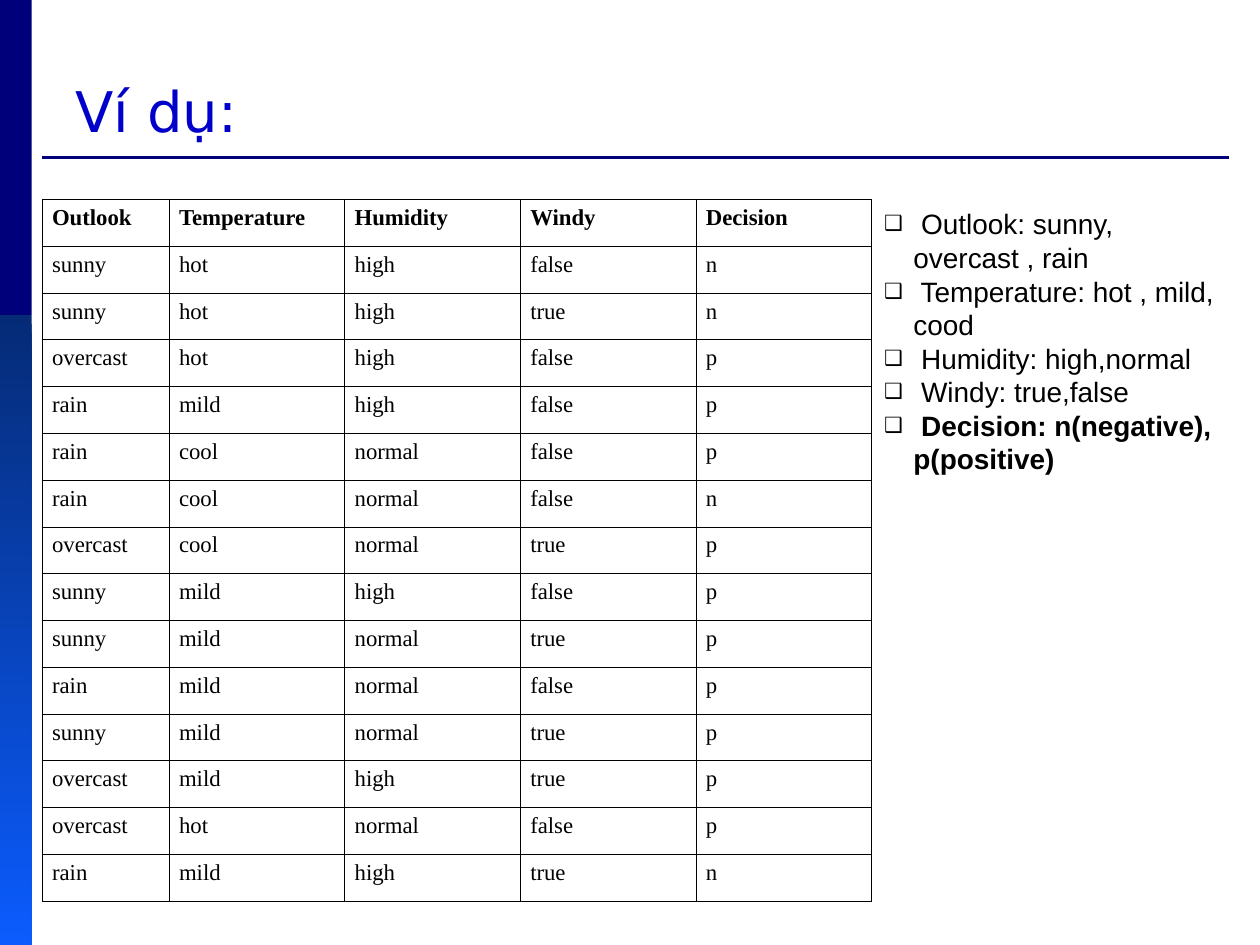
from lxml.etree import SubElement
from pptx import Presentation
from pptx.dml.color import RGBColor
from pptx.enum.shapes import MSO_CONNECTOR, MSO_SHAPE
from pptx.enum.text import MSO_ANCHOR, MSO_AUTO_SIZE, PP_ALIGN
from pptx.oxml.ns import qn
from pptx.util import Cm, Pt

HEADERS = ["Outlook", "Temperature", "Humidity", "Windy", "Decision"]
WEATHER = """\
sunny hot high false n
sunny hot high true n
overcast hot high false p
rain mild high false p
rain cool normal false p
rain cool normal false n
overcast cool normal true p
sunny mild high false p
sunny mild normal true p
rain mild normal false p
sunny mild normal true p
overcast mild high true p
overcast hot normal false p
rain mild high true n"""
ATTRIBUTES = [
    " Outlook: sunny, overcast , rain",
    " Temperature: hot , mild, cood",
    " Humidity: high,normal",
    " Windy: true,false",
    " Decision: n(negative), p(positive)",
]


def color(hex_string):
    return RGBColor.from_string(hex_string)


def write(paragraph, text, font, size, fill="000000", bold=False):
    paragraph.text = text
    paragraph.alignment = PP_ALIGN.LEFT
    paragraph.space_before = paragraph.space_after = Pt(0)
    paragraph.font.name = font
    paragraph.font.size = Pt(size)
    paragraph.font.bold = bold
    paragraph.font.color.rgb = color(fill)


def add_bullet(paragraph, character, indent, percent):
    properties = paragraph._p.get_or_add_pPr()
    properties.set("marL", str(indent))
    properties.set("indent", str(-indent))
    bullet_color = SubElement(properties, qn("a:buClr"))
    SubElement(bullet_color, qn("a:srgbClr"), val="000000")
    SubElement(properties, qn("a:buSzPct"), val=str(percent * 1000))
    SubElement(properties, qn("a:buFont"), typeface="Arial")
    SubElement(properties, qn("a:buChar"), char=character)


def add_borders(cell, width):
    properties = cell._tc.get_or_add_tcPr()
    for side in ("lnL", "lnR", "lnT", "lnB"):
        line = SubElement(properties, qn(f"a:{side}"), w=str(Pt(width)))
        fill = SubElement(line, qn("a:solidFill"))
        SubElement(fill, qn("a:srgbClr"), val="000000")


class SlideBuilder:
    navy = "00007A"
    title_color = "0000CA"
    title_font = "DejaVu Sans"
    body_font = "Arial"
    table_font = "Times New Roman"

    def __init__(self, slide):
        self.slide = slide

    def place(self, shape, left, top, width, height):
        shape.left, shape.top = Cm(left), Cm(top)
        shape.width, shape.height = Cm(width), Cm(height)

    def bar(self, left, top, width, height, *colors):
        """Draw a solid bar for one colour, a downward gradient for two."""
        shape = self.slide.shapes.add_shape(
            MSO_SHAPE.RECTANGLE, Cm(left), Cm(top), Cm(width), Cm(height))
        shape.shadow.inherit = False
        shape.line.fill.background()
        if len(colors) == 1:
            shape.fill.solid()
            shape.fill.fore_color.rgb = color(colors[0])
        else:
            shape.fill.gradient()
            shape.fill.gradient_angle = 270
            for stop, stop_color in zip(shape.fill.gradient_stops, colors):
                stop.color.rgb = color(stop_color)

    def rule(self, left, right, y):
        line = self.slide.shapes.add_connector(
            MSO_CONNECTOR.STRAIGHT, Cm(left), Cm(y), Cm(right), Cm(y))
        line.line.color.rgb = color(self.navy)
        line.line.width = Pt(1.5)
        SubElement(line._element.spPr, qn("a:effectLst"))

    def title(self, text, *box):
        shape = self.slide.shapes.title
        self.place(shape, *box)
        shape.text_frame.vertical_anchor = MSO_ANCHOR.BOTTOM
        write(shape.text_frame.paragraphs[0], text, self.title_font, 32,
              fill=self.title_color)

    def bullets(self, items, *box):
        """Fill the body placeholder, with the last item in bold."""
        shape = self.slide.placeholders[1]
        self.place(shape, *box)
        frame = shape.text_frame
        frame.vertical_anchor = MSO_ANCHOR.MIDDLE
        frame.auto_size = MSO_AUTO_SIZE.SHAPE_TO_FIT_TEXT
        for index, item in enumerate(items):
            paragraph = frame.add_paragraph() if index else frame.paragraphs[0]
            paragraph.space_before = paragraph.space_after = Pt(0)
            add_bullet(paragraph, "❑", Cm(0.59), 75)
            write(paragraph, item, self.body_font, 16,
                  bold=index == len(items) - 1)

    def table(self, rows, left, top, column_widths, height):
        table = self.slide.shapes.add_table(
            len(rows), len(column_widths), Cm(left), Cm(top),
            Cm(sum(column_widths)), Cm(height)).table
        table.first_row = table.horz_banding = False
        for column, width in zip(table.columns, column_widths):
            column.width = Cm(width)
        for row_index, row in enumerate(rows):
            table.rows[row_index].height = Cm(height / len(rows))
            for column_index, text in enumerate(row):
                cell = table.cell(row_index, column_index)
                cell.margin_left = cell.margin_right = Cm(0.2)
                cell.margin_top = cell.margin_bottom = Cm(0.12)
                add_borders(cell, 0.45)
                cell.fill.background()
                write(cell.text_frame.paragraphs[0], text, self.table_font, 13,
                      bold=row_index == 0)


def main():
    presentation = Presentation()
    presentation.slide_width, presentation.slide_height = Cm(25.4), Cm(19.05)
    layout = presentation.slide_layouts[1]
    builder = SlideBuilder(presentation.slides.add_slide(layout))

    builder.bar(0, 0, 0.64, 6.35, builder.navy)
    builder.rule(0.85, 24.77, 3.17)
    builder.bar(0, 6.35, 0.64, 12.83, "052B76", "0B5CFF")
    rows = [HEADERS] + [line.split() for line in WEATHER.splitlines()]
    builder.table(rows, 0.85, 4.02, [2.56] + [3.54] * 4, 14.15)
    builder.bullets(ATTRIBUTES, 17.57, 4.04, 7.2, 5.68)
    builder.title("Ví dụ:", 1.27, 0.2, 23.7, 2.82)
    presentation.save("out.pptx")


if __name__ == "__main__":
    main()
